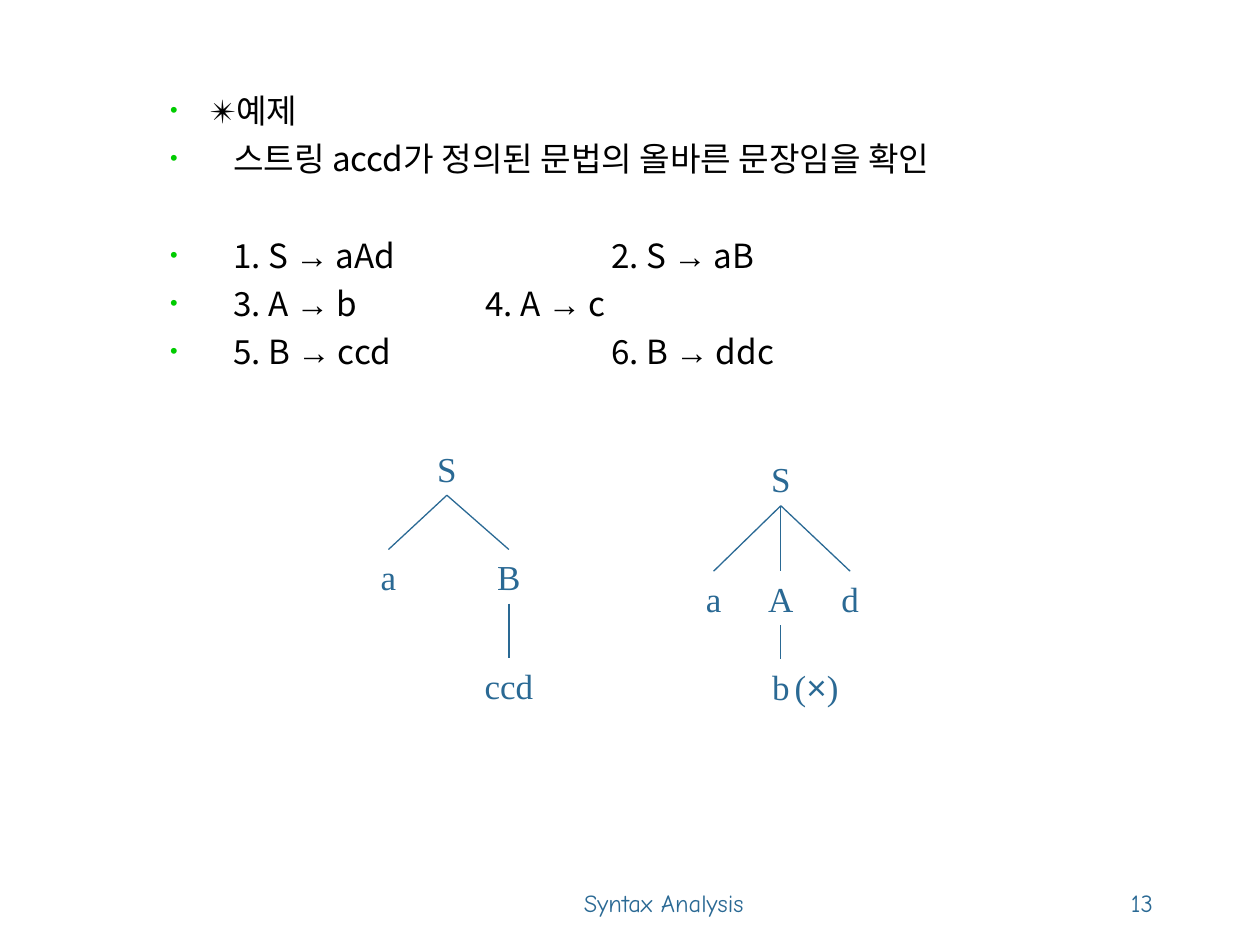
from itertools import groupby

from lxml.etree import SubElement
from pptx import Presentation
from pptx.dml.color import RGBColor
from pptx.enum.shapes import MSO_CONNECTOR as Conn
from pptx.enum.text import MSO_ANCHOR as Anchor, MSO_AUTO_SIZE as Auto, PP_ALIGN as Align
from pptx.oxml.ns import qn
from pptx.util import Pt

COLORS = {"text": "000000", "bullet": "00CC00", "blue": "2A6994"}
BODY, TREE, FOOT, SYMBOL = "Noto Sans CJK KR", "Times New Roman", "Comic Neue", "Arial"
SYMBOLS = "→×"
NODE_H = 31
LINE_GAP = 4.8
BREAK_GAP = 32.2

RULES = [
    ("✴예제", LINE_GAP),
    ("\t스트링 accd가 정의된 문법의 올바른 문장임을 확인", LINE_GAP),
    ("\t1. S → aAd\t\t2. S → aB", BREAK_GAP),
    ("\t3. A → b\t\t4. A → c", LINE_GAP),
    ("\t5. B → ccd\t\t6. B → ddc", LINE_GAP),
]

# Nodes: label, centre x, top, width. Edges: parent and child index.
LEFT_TREE = (
    [("S", 45.2, 0, 26), ("a", 11.8, 62, 24), ("B", 80.6, 62, 29), ("ccd", 80.6, 124, 46)],
    [(0, 1), (0, 2), (2, 3)],
)
RIGHT_TREE = (
    [("S", 50.2, 0, 26), ("a", 11.8, 68.4, 24), ("A", 50.2, 68.4, 30),
     ("d", 89.8, 68.4, 26), ("b", 50.2, 118.8, 26), ("(×)", 70.6, 118.8, 46)],
    [(0, 1), (0, 2), (0, 3), (2, 4)],
)


def set_attrs(obj, **values):
    """Set each named format value on an object."""
    for name, value in values.items():
        setattr(obj, name, value)


def add_runs(p, text, font, size, color):
    """Add text to a paragraph, with arrows and crosses in the symbol font."""
    for is_symbol, chars in groupby(text, lambda c: c in SYMBOLS):
        r = p.add_run()
        r.text = "".join(chars)
        face = SYMBOL if is_symbol else font
        set_attrs(r.font, name=face, size=Pt(size))
        r.font.color.rgb = RGBColor.from_string(COLORS[color])
        SubElement(r.font._element, qn("a:ea")).set("typeface", face)


def add_bullet(p):
    """Give a paragraph its hanging bullet and one-inch tab stops."""
    pPr = p._p.get_or_add_pPr()
    pPr.set("marL", str(Pt(58.3)))
    pPr.set("indent", str(Pt(-22.3)))
    color = SubElement(pPr, qn("a:buClr"))
    SubElement(color, qn("a:srgbClr")).set("val", COLORS["bullet"])
    SubElement(pPr, qn("a:buSzPct")).set("val", "65000")
    SubElement(pPr, qn("a:buChar")).set("char", "•")
    tabs = SubElement(pPr, qn("a:tabLst"))
    for i in range(1, 9):
        tab = SubElement(tabs, qn("a:tab"))
        tab.set("pos", str(Pt(72 * i)))
        tab.set("algn", "l")


def add_rules(slide, left, top, width, height):
    """Fill the body placeholder with the example and its grammar rules."""
    sp = slide.placeholders[1]
    set_attrs(sp, left=Pt(left), top=Pt(top), width=Pt(width), height=Pt(height))
    tf = sp.text_frame
    set_attrs(tf, auto_size=Auto.NONE, word_wrap=True, vertical_anchor=Anchor.TOP)
    for i, (text, gap) in enumerate(RULES):
        p = tf.add_paragraph() if i else tf.paragraphs[0]
        p.space_before = Pt(gap)
        add_bullet(p)
        add_runs(p, text, BODY, 19, "text")


def add_label(shapes, box, text, font, size, align, gap=0, **frame):
    """Add a one-line blue text box."""
    sp = shapes.add_textbox(*map(Pt, box))
    tf = sp.text_frame
    set_attrs(tf, **frame)
    p = tf.paragraphs[0]
    set_attrs(p, alignment=align, space_before=Pt(gap))
    add_runs(p, text, font, size, "blue")


def add_tree(slide, left, top, nodes, edges):
    """Draw a parse tree as a group whose box starts at left, top."""
    shapes = slide.shapes.add_group_shape().shapes
    for text, x, y, w in nodes:
        add_label(shapes, (left + x - w / 2, top + y, w, NODE_H), text, TREE, 20,
                  Align.CENTER, 5, word_wrap=False, auto_size=Auto.SHAPE_TO_FIT_TEXT,
                  vertical_anchor=Anchor.MIDDLE)
    for parent, child in edges:
        x1, y1 = nodes[parent][1:3]
        x2, y2 = nodes[child][1:3]
        ends = (left + x1, top + y1 + NODE_H, left + x2, top + y2)
        line = shapes.add_connector(Conn.STRAIGHT, *map(Pt, ends))
        line.line.color.rgb = RGBColor.from_string(COLORS["blue"])
        line.line.width = Pt(0.74)
        SubElement(line._element.spPr, qn("a:effectLst"))


def add_footer(slide, left, top, width):
    """Place the chapter name and the page number along the bottom."""
    add_label(slide.shapes, (left, top, 345.6, 36), "Syntax Analysis", FOOT, 14,
              Align.CENTER, word_wrap=True, vertical_anchor=Anchor.BOTTOM)
    add_label(slide.shapes, (left + width - 108, top + 12.2, 108, 24), "13", FOOT, 14,
              Align.RIGHT, word_wrap=True, vertical_anchor=Anchor.TOP)


def main():
    """Build and save the slide."""
    prs = Presentation()
    set_attrs(prs, slide_width=Pt(720), slide_height=Pt(540))
    slide = prs.slides.add_slide(prs.slide_layouts[1])
    title = slide.shapes.title._element
    title.getparent().remove(title)
    add_rules(slide, 54, 48, 612, 168)
    add_tree(slide, 210.2, 252, *LEFT_TREE)
    add_tree(slide, 396, 258, *RIGHT_TREE)
    add_footer(slide, 206.6, 491.8, 459.4)
    prs.save("out.pptx")


main()
